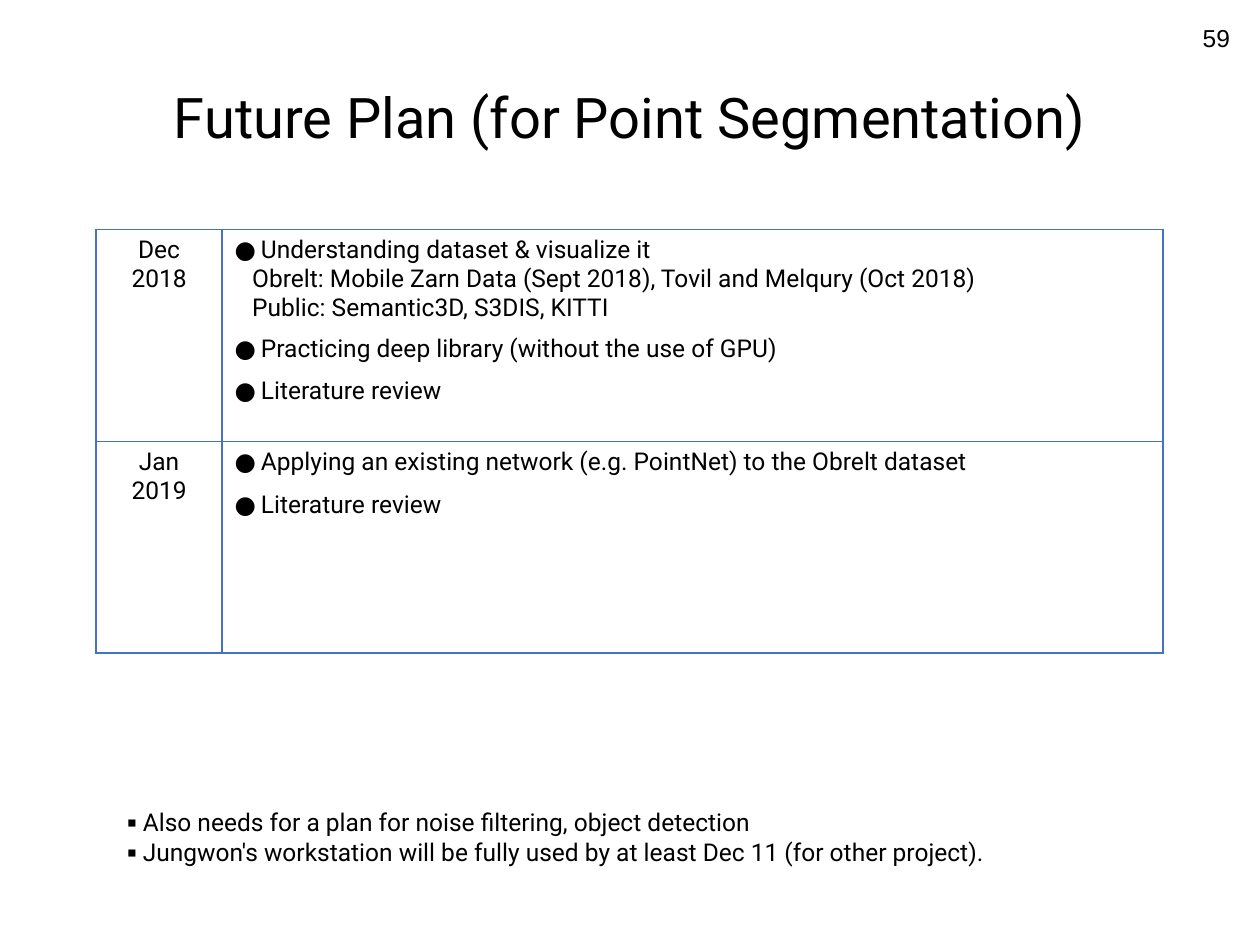
from lxml import etree
from pptx import Presentation
from pptx.dml.color import RGBColor
from pptx.enum.text import MSO_ANCHOR, PP_ALIGN
from pptx.oxml.ns import qn
from pptx.util import Pt

BLACK = RGBColor(0x00, 0x00, 0x00)
BORDER_BLUE = RGBColor(0x44, 0x72, 0xC4)
LEFT, CENTER, RIGHT = PP_ALIGN.LEFT, PP_ALIGN.CENTER, PP_ALIGN.RIGHT
TOP, MIDDLE = MSO_ANCHOR.TOP, MSO_ANCHOR.MIDDLE


def add_line(tf, text, size=14, font="Roboto", align=LEFT, before=0,
             bullet=None, hang=0, indent=0):
    """Write one paragraph, using the frame's empty first one if it is free."""
    p = tf.paragraphs[0] if not tf.paragraphs[0].runs else tf.add_paragraph()
    p.alignment = align
    p.space_before = Pt(before)
    pPr = p._p.get_or_add_pPr()
    pPr.set("marL", str(Pt(hang or indent)))
    pPr.set("indent", str(-Pt(hang)))
    if bullet:
        etree.SubElement(pPr, qn("a:buFont"), typeface=font)
        etree.SubElement(pPr, qn("a:buChar"), char=bullet)
    r = p.add_run()
    r.text = text
    for name, value in {"size": Pt(size), "name": font}.items():
        setattr(r.font, name, value)
    r.font.color.rgb = BLACK
    return p


def add_text_box(left, top, width, height, anchor):
    box = s.shapes.add_textbox(Pt(left), Pt(top), Pt(width), Pt(height))
    tf = box.text_frame
    tf.word_wrap = True
    tf.vertical_anchor = anchor
    return tf


prs = Presentation()
prs.slide_width, prs.slide_height = Pt(720), Pt(540)
s = prs.slides.add_slide(prs.slide_layouts[6])

# Title and page number
tf = add_text_box(49.7, 44.6, 620.6, 48.2, MIDDLE)
p = add_line(tf, "Future Plan (for Point Segmentation)", size=32, align=CENTER)
p.line_spacing = 0.9
tf = add_text_box(547.9, 7.2, 162, 28.8, MIDDLE)
add_line(tf, "59", font="Arial", align=RIGHT)

# Schedule: month, year, gap between tasks, tasks as (text, details)
SCHEDULE = [
    ("Dec", "2018", 7, [
        ("Understanding dataset & visualize it", [
            "Obrelt: Mobile Zarn Data (Sept 2018), Tovil and Melqury (Oct 2018)",
            "Public: Semantic3D, S3DIS, KITTI"]),
        ("Practicing deep library (without the use of GPU)", []),
        ("Literature review", [])]),
    ("Jan", "2019", 8, [
        ("Applying an existing network (e.g. PointNet) to the Obrelt dataset", []),
        ("Literature review", [])]),
]
COL_WIDTHS = [72, 537.8]
ROW_HEIGHT = 121

frame = s.shapes.add_table(len(SCHEDULE), len(COL_WIDTHS), Pt(54.9), Pt(131.2),
                           Pt(sum(COL_WIDTHS)), Pt(ROW_HEIGHT * len(SCHEDULE)))
table = frame.table
table.first_row = table.horz_banding = False
for col, width in zip(table.columns, COL_WIDTHS):
    col.width = Pt(width)
for row, (month, year, gap, tasks) in zip(table.rows, SCHEDULE):
    row.height = Pt(ROW_HEIGHT)
    date_cell, task_cell = row.cells
    for text in (month, year):
        add_line(date_cell.text_frame, text, align=CENTER)
    for i, (task, details) in enumerate(tasks):
        add_line(task_cell.text_frame, task, before=gap if i else 0,
                 bullet="●", hang=15)
        for detail in details:
            add_line(task_cell.text_frame, detail, indent=10)

for cell in table.iter_cells():
    cell.vertical_anchor = TOP
    cell.fill.background()
    tcPr = cell._tc.get_or_add_tcPr()
    for i, side in enumerate(("lnL", "lnR", "lnT", "lnB")):
        ln = etree.Element(qn(f"a:{side}"), w=str(Pt(1)))
        fill = etree.SubElement(ln, qn("a:solidFill"))
        etree.SubElement(fill, qn("a:srgbClr"), val=str(BORDER_BLUE))
        tcPr.insert(i, ln)

# Remarks
tf = add_text_box(65.5, 457.9, 589.7, 41, TOP)
for text in (
    "Also needs for a plan for noise filtering, object detection",
    "Jungwon's workstation will be fully used by at least Dec 11 (for other project).",
):
    add_line(tf, text, bullet="▪", hang=9)

prs.save("out.pptx")
